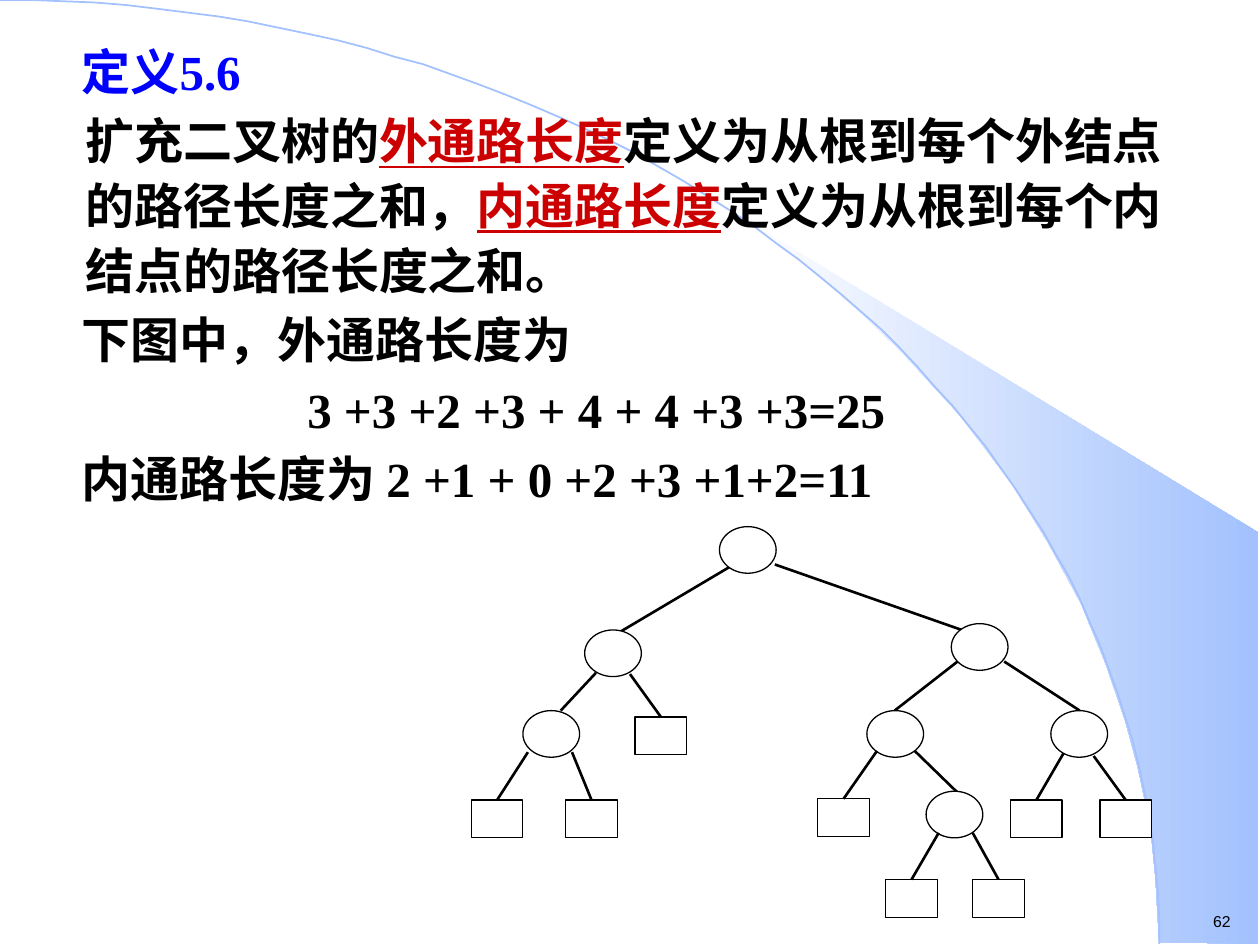
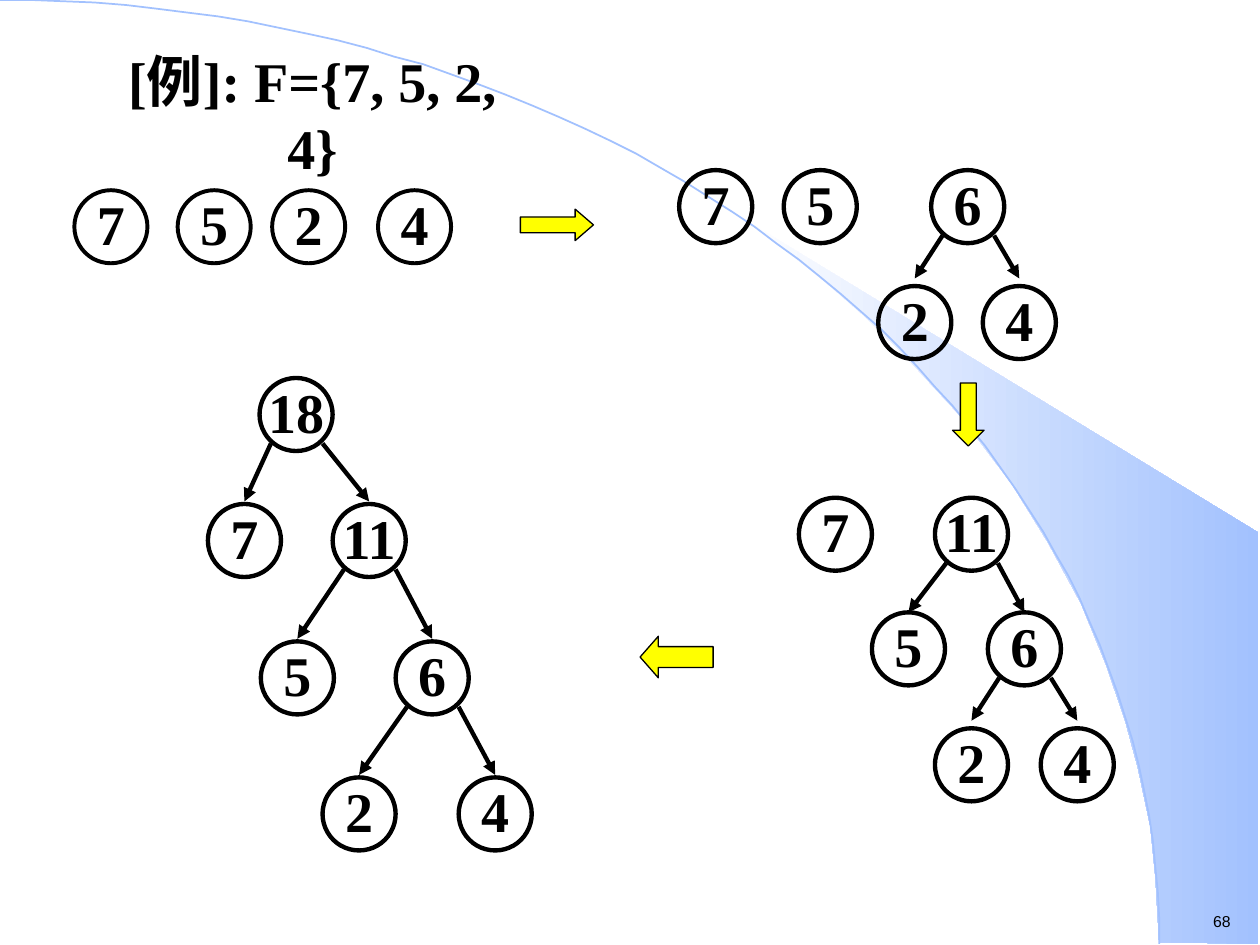
from lxml.etree import SubElement
from pptx import Presentation
from pptx.dml.color import RGBColor
from pptx.enum.shapes import MSO_CONNECTOR as Connector, MSO_SHAPE as Shape
from pptx.enum.text import MSO_ANCHOR as Anchor, PP_ALIGN as Align
from pptx.oxml.ns import qn
from pptx.util import Pt

PX = 9144
BLACK, WHITE, YELLOW = "000000", "FFFFFF", "FFFF00"
BLUE, RED, SKY = "0000FF", "CC0000", "A2C1FE"
SERIF, SANS = "Times New Roman", "Arial"

BAND_OUTLINE = [
    (920, 748), (999, 749), (999, 423), (589, 173), (624, 199), (653, 222),
    (685, 250), (716, 280), (762, 330), (803, 384), (832, 431), (858, 479),
    (878, 528), (893, 572), (903, 609), (913, 656), (917, 696),
]
ARC_CONTROLS = [(0, 0), (508, 0), (920, 335), (920, 749)]
ARC_STEPS = 60

DEFINITION = [
    (35, [("定义5.6", BLUE)]),
    (38, [("扩充二叉树的", BLACK), ("外通路长度", RED),
          ("定义为从根到每个外结点的路径长度之和，", BLACK),
          ("内通路长度", RED),
          ("定义为从根到每个内结点的路径长度之和。", BLACK)]),
    (35, [("下图中，外通路长度为", BLACK)]),
    (214, [("3 +3 +2 +3 + 4 + 4 +3 +3=25", BLACK)]),
    (35, [("内通路长度为 2 +1 + 0 +2 +3 +1+2=11", BLACK)]),
]

INNER_NODES = [(571, 418), (464, 500), (415, 564), (755, 495),
               (688, 564), (834, 564), (735, 628)]
INNER_EDGES = [
    ((579, 450), (493, 501)), ((615, 448), (772, 503)),
    ((473, 534), (445, 564)), ((760, 525), (710, 564)),
    ((797, 525), (857, 564)), ((726, 596), (763, 632)),
]
OUTER_NODES = [
    ((374, 635), (419, 597)), ((449, 635), (454, 597)),
    ((504, 569), (500, 535)), ((649, 634), (696, 596)),
    ((703, 698), (745, 661)), ((772, 698), (772, 661)),
    ((802, 635), (844, 598)), ((873, 635), (868, 600)),
]

NODE_SIZE = 58
START_FOREST = [("7", 59, 151), ("5", 141, 151), ("2", 216, 151), ("4", 300, 151)]
MERGED_SIX = [("7", 539, 135), ("5", 622, 135), ("6", 739, 135),
              ("2", 697, 227), ("4", 780, 227)]
MERGED_ELEVEN = [("7", 634, 395), ("11", 742, 395), ("5", 692, 486),
                 ("6", 784, 486), ("2", 742, 578), ("4", 826, 578)]
FINAL_TREE = [("18", 206, 300), ("7", 165, 400), ("11", 264, 400),
              ("5", 207, 509), ("6", 314, 509), ("2", 256, 617), ("4", 364, 617)]
STAGES = [
    (START_FOREST, [], 2.25),
    (MERGED_SIX, [(2, 3, 6), (2, 4, 6)], 2.5),
    (MERGED_ELEVEN, [(1, 2, 0), (1, 3, 0), (3, 4, 6), (3, 5, 6)], 2.5),
    (FINAL_TREE, [(0, 1, 2), (0, 2, 2), (2, 3, 2), (2, 4, 2), (4, 5, 2), (4, 6, 2)], 2.5),
]
STEP_ARROWS = [
    (Shape.RIGHT_ARROW, (413, 166, 58, 25), 0.58),
    (Shape.DOWN_ARROW, (756, 304, 25, 50), 0.5),
    (Shape.LEFT_ARROW, (508, 505, 58, 33), 0.44),
]


def rgb(value):
    """Turn a hex string into a colour."""
    return RGBColor.from_string(value)


def emu(*lengths):
    """Turn px lengths into EMU."""
    return [length * PX for length in lengths]


def add_run(paragraph, text, size=28, color=BLACK, bold=True, underline=False, font=SERIF):
    """Append formatted text to a paragraph."""
    run = paragraph.add_run()
    run.text = text
    run.font.size, run.font.name = Pt(size), font
    run.font.bold, run.font.underline = bold, underline
    run.font.color.rgb = rgb(color)


def add_frame(slide, box, wrap=True):
    """Add a text box and return its text frame."""
    frame = slide.shapes.add_textbox(*emu(*box)).text_frame
    frame.word_wrap = wrap
    return frame


def style(shape, fill=None, line=None, width=0.75):
    """Set the fill and outline of a shape without shadow."""
    shape.shadow.inherit = False
    if fill:
        shape.fill.solid()
        shape.fill.fore_color.rgb = rgb(fill)
    else:
        shape.fill.background()
    if line:
        shape.line.color.rgb = rgb(line)
        shape.line.width = Pt(width)
    else:
        shape.line.fill.background()


def add_figure(slide, kind, box, **look):
    """Add a styled preset shape."""
    figure = slide.shapes.add_shape(kind, *emu(*box))
    style(figure, **look)
    return figure


def add_outline(slide, points, close):
    """Add a freeform through the given points."""
    builder = slide.shapes.build_freeform(*points[0], scale=PX)
    builder.add_line_segments(points[1:], close=close)
    return builder.convert_to_shape()


def add_edge(slide, start, end, width=1.5, arrow=False):
    """Draw a straight tree edge, with an arrowhead on request."""
    edge = slide.shapes.add_connector(Connector.STRAIGHT, *emu(*start, *end))
    edge.line.color.rgb = rgb(BLACK)
    edge.line.width = Pt(width)
    if arrow:
        SubElement(edge.line._get_or_add_ln(), qn("a:tailEnd"), type="triangle")
    SubElement(edge._element.spPr, qn("a:effectLst"))
    return edge


def arc_point(t):
    """Return the point of the background arc at parameter t."""
    weights = ((1 - t) ** 3, 3 * t * (1 - t) ** 2, 3 * t ** 2 * (1 - t), t ** 3)
    return tuple(sum(w * point[axis] for w, point in zip(weights, ARC_CONTROLS))
                 for axis in (0, 1))


def add_page(deck, number):
    """Add a slide with the shared band, arc and page number."""
    slide = deck.slides.add_slide(deck.slide_layouts[6])
    band = add_outline(slide, BAND_OUTLINE, True)
    style(band)
    band.fill.gradient()
    band.fill.gradient_angle = 0
    for stop, color, position in zip(band.fill.gradient_stops, (WHITE, SKY), (0, 1)):
        stop.color.rgb = rgb(color)
        stop.position = position
    arc = add_outline(slide, [arc_point(i / ARC_STEPS) for i in range(ARC_STEPS + 1)], False)
    style(arc, line=SKY, width=1)
    page = add_frame(slide, (953, 719, 35, 25), wrap=False)
    add_run(page.paragraphs[0], str(number), size=9, bold=False, font=SANS)
    return slide


def add_definition(slide):
    """Write the definition with its two key terms marked."""
    frame = add_frame(slide, (20, 23, 921, 402))
    for index, (margin, pieces) in enumerate(DEFINITION):
        paragraph = frame.add_paragraph() if index else frame.paragraphs[0]
        paragraph._p.get_or_add_pPr().set("marL", str(margin * PX))
        paragraph.line_spacing = 1.1
        paragraph.space_before = Pt(2.8 if index else 0)
        for text, color in pieces:
            add_run(paragraph, text, color=color, underline=color == RED)


def add_extended_tree(slide):
    """Draw the binary tree with round inner and square outer nodes."""
    for start, end in INNER_EDGES:
        add_edge(slide, start, end)
    for corner in INNER_NODES:
        add_figure(slide, Shape.OVAL, (*corner, 45, 37), fill=WHITE, line=BLACK)
    for corner, start in OUTER_NODES:
        leaf = add_figure(slide, Shape.RECTANGLE, (*corner, 41, 30), fill=WHITE, line=BLACK)
        add_edge(slide, start, corner).end_connect(leaf, 0)


def add_weight_node(slide, weight, x, y, width):
    """Draw a circle holding a weight."""
    node = add_figure(slide, Shape.OVAL, (x, y, NODE_SIZE, NODE_SIZE), line=BLACK, width=width)
    frame = node.text_frame
    frame.word_wrap = False
    frame.vertical_anchor = Anchor.MIDDLE
    frame.margin_left = frame.margin_right = frame.margin_top = 0
    frame.margin_bottom = 6 * PX
    frame.paragraphs[0].alignment = Align.CENTER
    add_run(frame.paragraphs[0], weight, size=32)


def add_stage(slide, nodes, links, width):
    """Draw one stage of the merging forest."""
    for weight, x, y in nodes:
        add_weight_node(slide, weight, x, y, width)
    for parent, child, gap in links:
        _, parent_x, parent_y = nodes[parent]
        _, child_x, child_y = nodes[child]
        side = 9 if child_x < parent_x else 50
        add_edge(slide, (parent_x + side, parent_y + 52),
                 (child_x + NODE_SIZE // 2, child_y - gap), width=width, arrow=True)


def add_example(slide):
    """Write the example title and draw its four stages."""
    title = add_frame(slide, (68, 32, 360, 116)).paragraphs[0]
    title.alignment = Align.CENTER
    add_run(title, "[例]: F={7, 5, 2, 4}", size=32)
    for stage in STAGES:
        add_stage(slide, *stage)
    for kind, box, head in STEP_ARROWS:
        arrow = add_figure(slide, kind, box, fill=YELLOW, line=BLACK)
        arrow.adjustments[1] = head


def main():
    """Build the two slides and save them."""
    deck = Presentation()
    deck.slide_width, deck.slide_height = emu(1000, 750)
    definition = add_page(deck, 62)
    add_definition(definition)
    add_extended_tree(definition)
    add_example(add_page(deck, 68))
    deck.save("out.pptx")


if __name__ == "__main__":
    main()
